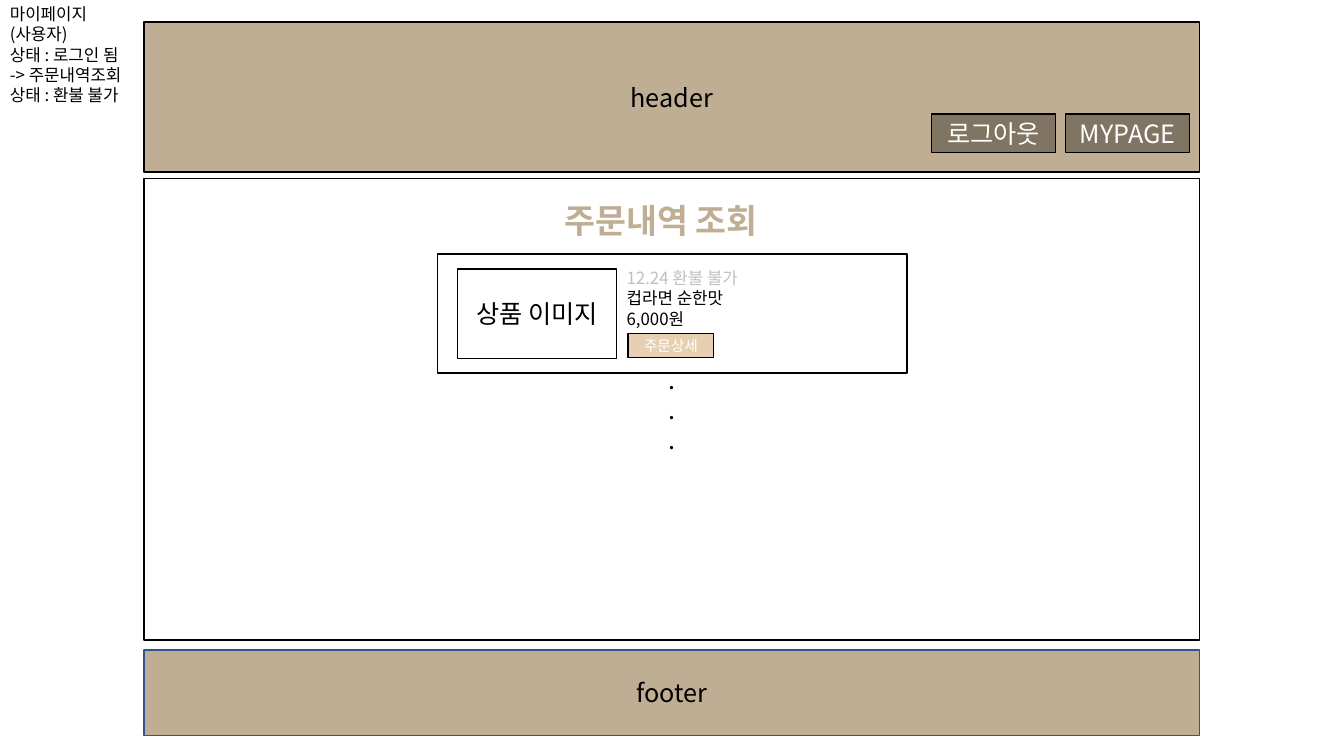
from lxml import etree
from pptx import Presentation
from pptx.dml.color import RGBColor
from pptx.enum.shapes import MSO_SHAPE
from pptx.enum.text import MSO_ANCHOR, MSO_AUTO_SIZE, PP_ALIGN
from pptx.oxml.ns import qn
from pptx.util import Pt

RECTANGLE = MSO_SHAPE.RECTANGLE
TOP, MIDDLE = MSO_ANCHOR.TOP, MSO_ANCHOR.MIDDLE
LEFT, CENTER = PP_ALIGN.LEFT, PP_ALIGN.CENTER
NO_AUTOFIT = MSO_AUTO_SIZE.NONE
FONT = "Noto Sans CJK KR"
COLORS = {
    "black": "000000",
    "white": "FFFFFF",
    "sand": "BFAE93",
    "olive": "807462",
    "cream": "E6D0B1",
    "gray": "BFBFBF",
    "blue": "31538F",
}


def write(box, lines, size, colors, align=LEFT, anchor=TOP, bold=False):
    frame = box.text_frame
    frame.word_wrap = True
    frame.auto_size = NO_AUTOFIT
    frame.vertical_anchor = anchor
    frame.text = "\n".join(lines)
    for para, color in zip(frame.paragraphs, colors):
        para.alignment = align
        para.font.size = Pt(size)
        para.font.bold = bold
        para.font.color.rgb = RGBColor.from_string(COLORS[color])
        para.font.name = FONT
        latin = para._p.find(".//" + qn("a:latin"))
        east_asian = etree.Element(qn("a:ea"), typeface=FONT)
        latin.addnext(east_asian)


def add_block(area, fill, lines=(), size=18, color="black", line="black"):
    block = page.shapes.add_shape(RECTANGLE, *map(Pt, area))
    block.shadow.inherit = False
    if fill:
        block.fill.solid()
        block.fill.fore_color.rgb = RGBColor.from_string(COLORS[fill])
    else:
        block.fill.background()
    block.line.color.rgb = RGBColor.from_string(COLORS[line])
    block.line.width = Pt(1)
    if lines:
        write(block, lines, size, [color] * len(lines), CENTER, MIDDLE)
    return block


deck = Presentation()
deck.slide_width, deck.slide_height = Pt(960), Pt(540)
page = deck.slides.add_slide(deck.slide_layouts[5])

frame_left, frame_width = 103, 753.8
add_block((frame_left, 464.4, frame_width, 60.8), "sand", ["footer"], line="blue")

state_lines = ["마이페이지", "(사용자)", "상태 : 로그인 됨", "-> 주문내역조회", "상태 : 환불 불가"]
state_note = page.shapes.add_textbox(Pt(0), Pt(-0.7), Pt(105), Pt(80))
write(state_note, state_lines, 12, ["black"] * len(state_lines))

content = add_block((frame_left, 127.4, frame_width, 329.8), "white", ["."] * 3)

title = page.shapes.title
title.left, title.top, title.width, title.height = map(Pt, (396, 139, 168, 36))
write(title, ["주문내역 조회"], 24, ["sand"], bold=True)
content.element.addnext(title.element)

add_block((326.9, 192.2, 113.4, 64), "white", ["상품 이미지"])
order_info = page.shapes.add_textbox(Pt(440.6), Pt(187.9), Pt(105), Pt(51))
write(order_info, ["12.24 환불 불가", "컵라면 순한맛", "6,000원"], 12, ["gray", "black", "black"])
add_block((312.5, 181.4, 335.5, 85), None)
add_block((448.6, 238.3, 61.2, 17.3), "cream", ["주문상세"], 10.5, "white")

add_block((frame_left, 15.8, frame_width, 107.2), "sand", ["header"])
for index, label in enumerate(["로그아웃", "MYPAGE"]):
    add_block((665.3 + index * 95.8, 81.4, 88.6, 27.4), "olive", [label], 18, "white")

deck.save("out.pptx")
